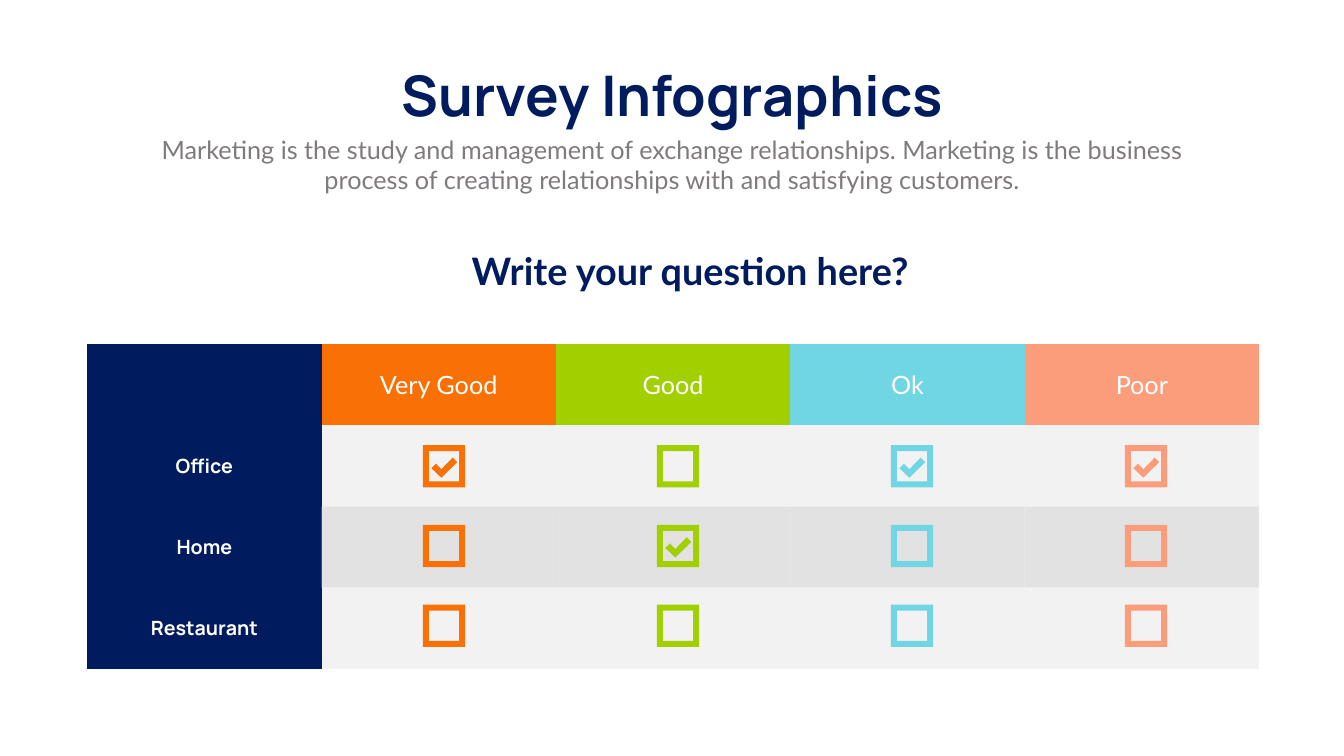
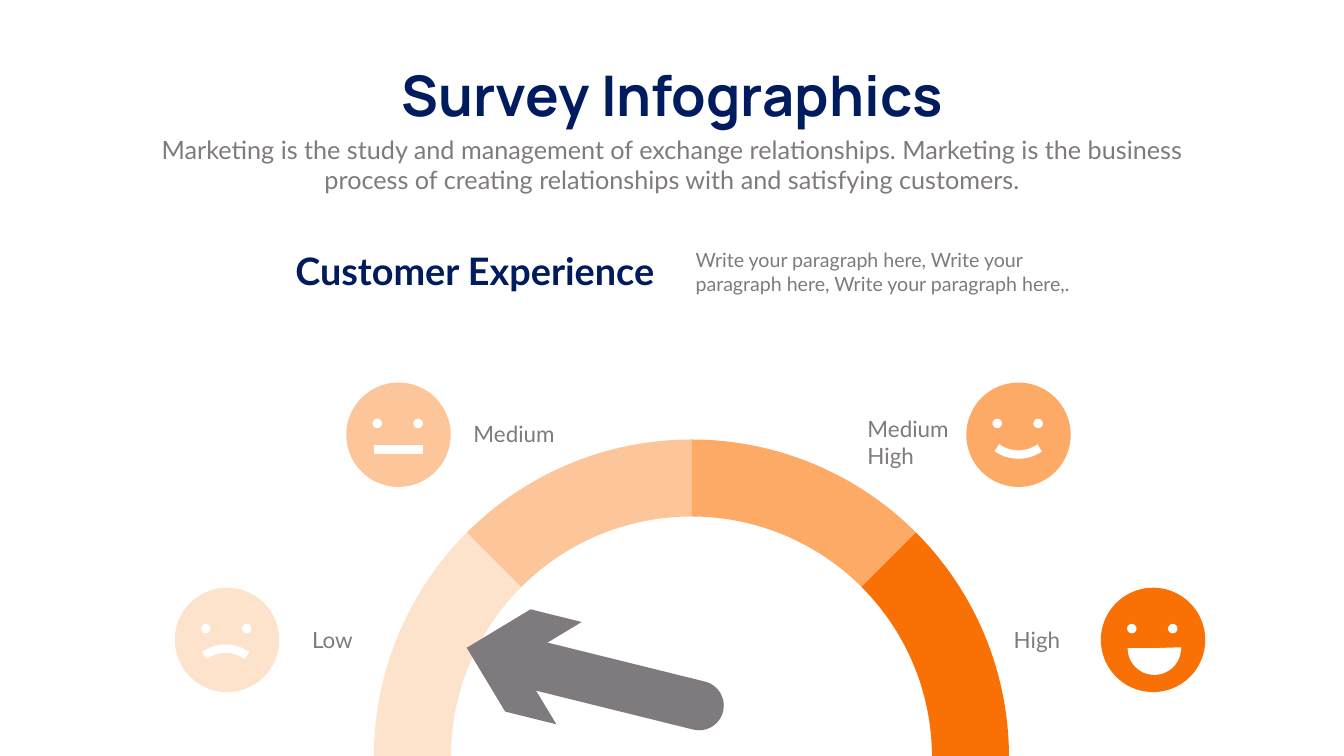
import math
from dataclasses import dataclass
from lxml import etree
from pptx import Presentation
from pptx.dml.color import RGBColor
from pptx.enum import shapes, text
from pptx.oxml import ns
from pptx.util import Cm, Pt

# Content
TITLE = "Survey Infographics"
INTRO = ("Marketing is the study and management of exchange relationships. "
         "Marketing is the business process of creating relationships with "
         "and satisfying customers.")
ASK = "Write your question here?"
TOPIC = "Customer Experience"
NOTE = ("Write your paragraph here, Write your paragraph here, "
        "Write your paragraph here,.")
GRADES = [("Very Good", "F97104"), ("Good", "A1CF00"),
          ("Ok", "70D6E4"), ("Poor", "FB9D7B")]
PLACES = [("Office", {"Very Good", "Ok", "Poor"}),
          ("Home", {"Good"}),
          ("Restaurant", set())]
# Gauge levels: colour, mouth, face corner, label lines, label box, alignment
LEVELS = [
    ("FEE3CC", "sad", (8.81, 29.62), ["Low"], (9.5, 31.42, 8.53, 1.63), "right"),
    ("FDC69A", "flat", (17.45, 19.28), ["Medium"], (17.35, 21.03, 10.85, 1.63), "right"),
    ("FDAA67", "smile", (48.69, 19.28), ["Medium", "High"], (43.46, 20.8, 12.27, 3), "left"),
    ("F97104", "laugh", (55.47, 29.62), ["High"], (50.83, 31.42, 8.53, 1.63), "left"),
]


# Theme
@dataclass(frozen=True)
class Theme:
    navy: str = "001C5E"
    gray: str = "7F7A7E"
    white: str = "FFFFFF"
    pale: str = "F2F2F2"
    band: str = "D9D9D9"
    head: str = "Manrope"
    body: str = "Lato"
    title: int = 80
    topic: int = 54
    intro: int = 36
    label: int = 32
    note: int = 28
    stroke: int = 12


T = Theme()
KIND = shapes.MSO_SHAPE
ALIGN = {"left": text.PP_ALIGN.LEFT, "center": text.PP_ALIGN.CENTER,
         "right": text.PP_ALIGN.RIGHT}


# Shared helpers
def rgb(code):
    return RGBColor.from_string(code)


def write(frame, lines, size, color, face=T.body, bold=False, align="left"):
    frame.text = "\n".join(lines)
    for par in frame.paragraphs:
        par.alignment = ALIGN[align]
        font = par.font
        font.name, font.size, font.bold = face, Pt(size), bold
        font.color.rgb = rgb(color)


def add_text(slide, box, lines, size, color, **style):
    frame = slide.shapes.add_textbox(*map(Cm, box)).text_frame
    frame.word_wrap = True
    write(frame, lines, size, color, **style)


def paint(shape, color):
    shape.shadow.inherit = False
    shape.fill.solid()
    shape.fill.fore_color.rgb = rgb(color)
    shape.line.fill.background()


def add_shape(slide, kind, box, color, turn=0, adjust=()):
    shape = slide.shapes.add_shape(kind, *map(Cm, box))
    paint(shape, color)
    shape.rotation = turn
    for i, value in enumerate(adjust):
        shape.adjustments[i] = value
    return shape


def add_free(slide, color, *loops):
    loops = [[(Cm(x), Cm(y)) for x, y in loop] for loop in loops]
    pen = slide.shapes.build_freeform(*loops[0][0])
    pen.add_line_segments(loops[0][1:], close=True)
    for loop in loops[1:]:
        pen.move_to(*loop[0])
        pen.add_line_segments(loop[1:], close=True)
    shape = pen.convert_to_shape()
    paint(shape, color)
    return shape


def add_slide(deck):
    slide = deck.slides.add_slide(deck.slide_layouts[5])
    head = slide.shapes.title
    head.left, head.top, head.width, head.height = map(Cm, (18.85, 2.9, 30.05, 3.68))
    frame = head.text_frame
    frame.auto_size = text.MSO_AUTO_SIZE.NONE
    frame.vertical_anchor = text.MSO_ANCHOR.TOP
    frame.word_wrap = False
    write(frame, [TITLE], T.title, T.navy, face=T.head, bold=True, align="center")
    add_text(slide, (7.42, 6.63, 52.88, 3.33), [INTRO], T.intro, T.gray, align="center")
    return slide


def add_topic(slide, left, line):
    add_text(slide, (left, 12.37, 23.47, 2.57), [line], T.topic, T.navy, bold=True)


# Survey table
def fill_cell(cell, color, alpha=None):
    cell.fill.solid()
    cell.fill.fore_color.rgb = rgb(color)
    cell.vertical_anchor = text.MSO_ANCHOR.MIDDLE
    if alpha:
        tone = next(cell._tc.iter(ns.qn("a:srgbClr")))
        etree.SubElement(tone, ns.qn("a:alpha"), val=str(alpha * 1000))


def add_grid(slide):
    wide, high = 11.81, 4.09
    rows, cols = len(PLACES) + 1, len(GRADES) + 1
    frame = slide.shapes.add_table(rows, cols, Cm(4.39), Cm(17.35),
                                   Cm(wide * cols), Cm(high * rows))
    style = next(frame._element.iter(ns.qn("a:tableStyleId")))
    style.text = "{2D5ABB26-0587-4C30-8999-92F81FD0307C}"
    grid = frame.table
    grid.first_row = grid.horz_banding = False
    fill_cell(grid.cell(0, 0), T.navy)
    for c, (name, color) in enumerate(GRADES, 1):
        cell = grid.cell(0, c)
        fill_cell(cell, color)
        cell.margin_left = cell.margin_right = Cm(0.36)
        cell.margin_top = cell.margin_bottom = Cm(0.18)
        write(cell.text_frame, [name], T.intro, T.white, align="center")
    for r, (name, _) in enumerate(PLACES, 1):
        cell = grid.cell(r, 0)
        fill_cell(cell, T.navy)
        write(cell.text_frame, [name], T.note, T.white, face=T.head,
              bold=True, align="center")
        for c in range(1, cols):
            if r % 2:
                fill_cell(grid.cell(r, c), T.pale)
            else:
                fill_cell(grid.cell(r, c), T.band, alpha=75)


TICK = [(1.73, 0.86), (1.5, 0.63), (0.93, 1.22),
        (0.66, 0.94), (0.43, 1.17), (0.93, 1.65)]


def add_check(slide, x, y, color, ticked):
    side, rim = 2.13, 0.3
    far = side - rim
    outer = [(x, y), (x, y + side), (x + side, y + side), (x + side, y)]
    inner = [(x + far, y + far), (x + rim, y + far),
             (x + rim, y + rim), (x + far, y + rim)]
    if ticked:
        add_free(slide, color, [(x + dx, y + dy) for dx, dy in TICK])
    add_free(slide, color, outer, inner)


def build_survey(deck):
    slide = add_slide(deck)
    add_topic(slide, 23.52, ASK)
    add_grid(slide)
    for c, (grade, color) in enumerate(GRADES):
        for r, (_, picks) in enumerate(PLACES):
            add_check(slide, 21.31 + 11.79 * c, 22.43 + 4.02 * r,
                      color, grade in picks)


# Gauge
def bend(shape, first):
    """Turn three line steps, starting at the given one, into one curve."""
    steps = list(shape._element.iter(ns.qn("a:lnTo")))[first:first + 3]
    curve = etree.Element(ns.qn("a:cubicBezTo"))
    steps[0].addprevious(curve)
    for step in steps:
        curve.append(step[0])
        step.getparent().remove(step)


def add_band(slide, start, color):
    mid, base, outer, inner = 34.84, 38.15, 16, 12.12
    pull = 4 / 3 * math.tan(math.radians(45) / 4)

    def edge(radius):
        a, b = math.radians(start), math.radians(start + 45)
        ends = [(a, 0), (a, pull), (b, -pull), (b, 0)]
        return [(mid - radius * (math.cos(t) - k * math.sin(t)),
                 base - radius * (math.sin(t) + k * math.cos(t)))
                for t, k in ends]

    band = add_free(slide, color, edge(outer) + edge(inner)[::-1])
    bend(band, 4)
    bend(band, 0)


def add_curve(slide, x, y, turn):
    arc = add_shape(slide, KIND.ARC, (x, y, 3.73, 3.73), T.white, turn,
                    (167.92, 210.3))
    arc.fill.background()
    arc.line.color.rgb = rgb(T.white)
    arc.line.width = Pt(T.stroke)


def add_mouth(slide, mood, x, y):
    if mood == "sad":
        add_curve(slide, x + 0.69, y + 3.07, 315)
    elif mood == "smile":
        add_curve(slide, x + 0.76, y - 0.1, 135.2)
    elif mood == "laugh":
        add_shape(slide, KIND.PIE, (x + 1.35, y + 1.7, 2.69, 2.69), T.white,
                  270, (52.82, 162))
    else:
        line = slide.shapes.add_connector(
            shapes.MSO_CONNECTOR.STRAIGHT, Cm(x + 1.4), Cm(y + 3.38),
            Cm(x + 3.86), Cm(y + 3.38))
        line.line.color.rgb = rgb(T.white)
        line.line.width = Pt(T.stroke)
        etree.SubElement(line._element.spPr, ns.qn("a:effectLst"))


def add_face(slide, color, mood, x, y):
    add_shape(slide, KIND.OVAL, (x, y, 5.26, 5.26), color)
    for dx in (1.32, 3.38):
        add_shape(slide, KIND.OVAL, (x + dx, y + 1.82, 0.48, 0.48), T.white)
    add_mouth(slide, mood, x, y)


def build_gauge(deck):
    slide = add_slide(deck)
    for i, level in enumerate(LEVELS):
        add_band(slide, 45 * i, level[0])
    # Needle
    add_shape(slide, KIND.ROUNDED_RECTANGLE, (29.69, 28.83, 2.49, 11.33),
              T.gray, 283.9, (0.5,))
    add_shape(slide, KIND.CHEVRON, (23.44, 30.63, 5.31, 5.31), T.gray, 193.9)
    # Faces and labels
    for color, mood, spot, lines, box, align in LEVELS:
        add_text(slide, box, lines, T.label, T.gray, align=align)
        add_face(slide, color, mood, *spot)
    add_topic(slide, 14.63, TOPIC)
    add_text(slide, (34.8, 12.37, 20.6, 2.64), [NOTE], T.note, T.gray)


def main():
    deck = Presentation()
    deck.slide_width, deck.slide_height = Cm(67.72), Cm(38.1)
    build_survey(deck)
    build_gauge(deck)
    deck.save("out.pptx")


if __name__ == "__main__":
    main()
